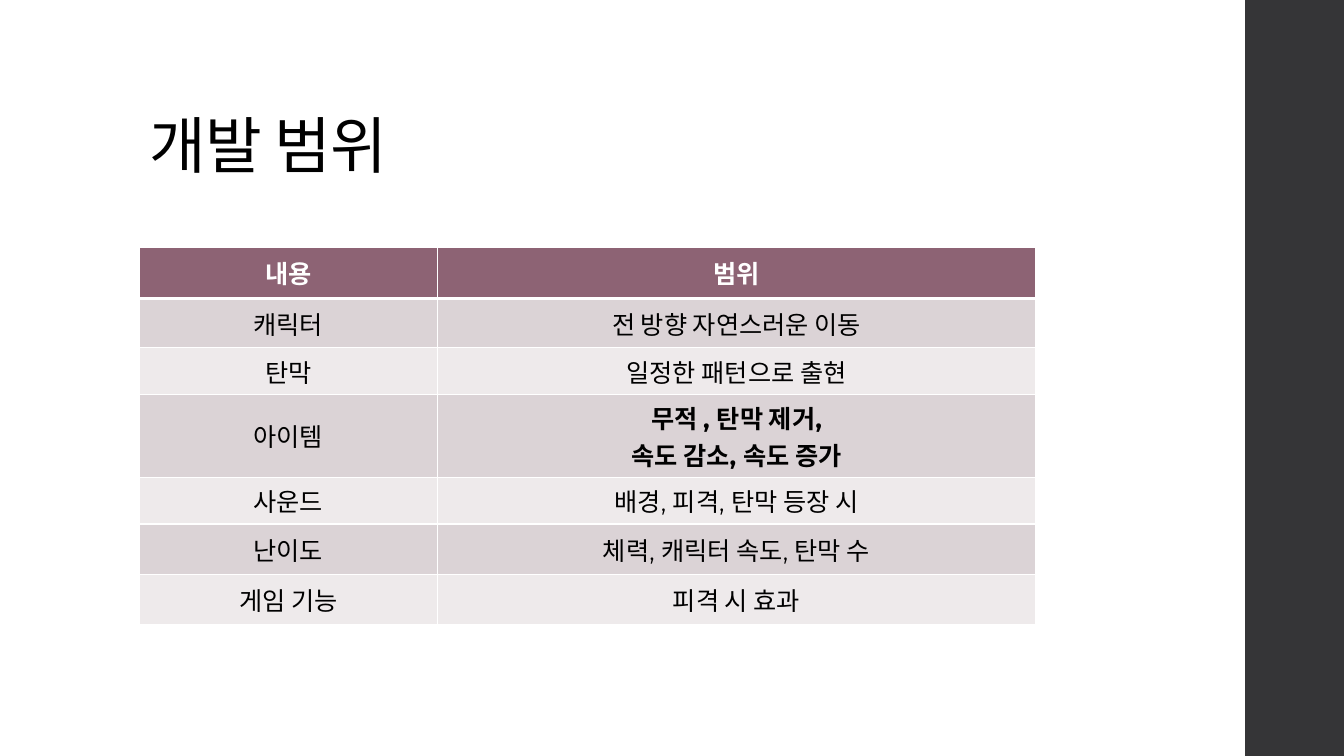
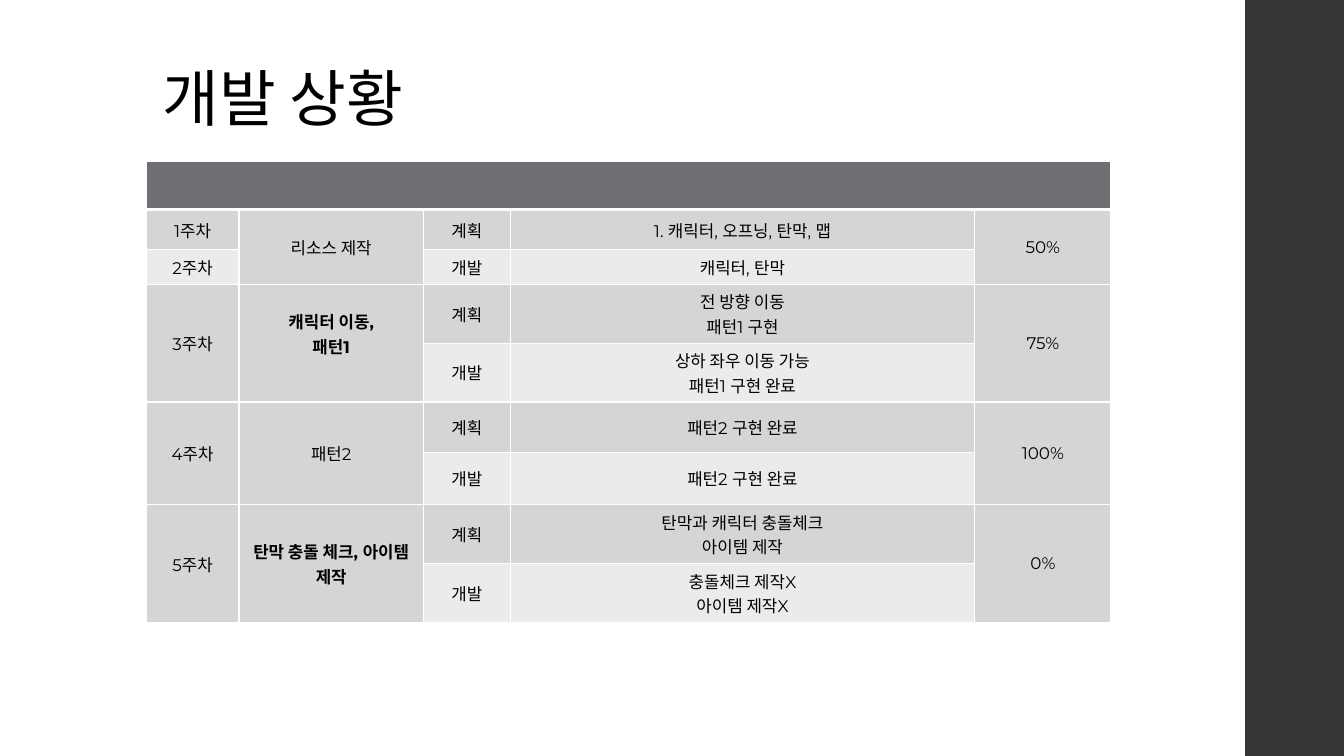
from itertools import takewhile

from lxml.etree import SubElement
from pptx import Presentation
from pptx.dml.color import RGBColor
from pptx.enum.shapes import MSO_SHAPE as Shape
from pptx.enum.text import MSO_ANCHOR as Anchor, MSO_AUTO_SIZE as Fit, PP_ALIGN as Align
from pptx.oxml import parse_xml
from pptx.oxml.ns import nsdecls, qn
from pptx.util import Inches, Pt

WIDE, HIGH = Inches(13.33), Inches(7.5)
TITLE_ONLY = 5
LATIN, HANGUL = "Montserrat", "Noto Sans CJK KR"

WHITE = RGBColor(0xFF, 0xFF, 0xFF)
BLACK = RGBColor(0x00, 0x00, 0x00)
DARK = RGBColor(0x35, 0x35, 0x37)
PLUM = RGBColor(0x8D, 0x63, 0x74)
ROSE = RGBColor(0xDB, 0xD3, 0xD6)
BLUSH = RGBColor(0xEE, 0xEA, 0xEB)
SLATE = RGBColor(0x6F, 0x6F, 0x74)
SILVER = RGBColor(0xD5, 0xD5, 0xD6)
MIST = RGBColor(0xEB, 0xEB, 0xEB)

SCOPE = [
    ["내용", "범위"],
    ["캐릭터", "전 방향 자연스러운 이동"],
    ["탄막", "일정한 패턴으로 출현"],
    ["아이템", "무적 , 탄막 제거,\n속도 감소, 속도 증가"],
    ["사운드", "배경, 피격, 탄막 등장 시"],
    ["난이도", "체력, 캐릭터 속도, 탄막 수"],
    ["게임 기능", "피격 시 효과"],
]
# None belongs to the cell above it, or in the first row to the cell on its left.
STATUS = [
    ["", None, None, None, None],
    ["1주차", "리소스 제작", "계획", "1. 캐릭터, 오프닝, 탄막, 맵", "50%"],
    ["2주차", None, "개발", "캐릭터, 탄막", None],
    ["3주차", "캐릭터 이동,\n패턴1", "계획", "전 방향 이동\n패턴1 구현", "75%"],
    [None, None, "개발", "상하 좌우 이동 가능\n패턴1 구현 완료", None],
    ["4주차", "패턴2", "계획", "패턴2 구현 완료", "100%"],
    [None, None, "개발", "패턴2 구현 완료", None],
    ["5주차", "탄막 충돌 체크, 아이템 제작", "계획",
     "탄막과 캐릭터 충돌체크\n아이템 제작", "0%"],
    [None, None, "개발", "충돌체크 제작X\n아이템 제작X", None],
]


def across(share):
    """Length of a percentage of the slide's width."""
    return round(WIDE * share / 100)


def down(share):
    """Length of a percentage of the slide's height."""
    return round(HIGH * share / 100)


def write(frame, text, size=18, color=BLACK, bold=False, font=LATIN,
          align=Align.CENTER, lead=None):
    frame.text = text
    for para in frame.paragraphs:
        para.alignment = align
        para.line_spacing = lead
        para.font.size = Pt(size)
        for run in para.runs:
            face = run.font
            face.size, face.bold, face.name = Pt(size), bold, font
            face.color.rgb = color


def set_hangul(shape, track=0):
    """Set the East Asian font and the tracking, in hundredths of a point."""
    for props in shape.element.iter(qn("a:rPr")):
        SubElement(props, qn("a:ea")).set("typeface", HANGUL)
        if track:
            props.set("spc", str(track))


def add_band(slide):
    band = slide.shapes.add_shape(
        Shape.RECTANGLE, across(92.65), 0, across(7.5), HIGH)
    band.shadow.inherit = False
    band.fill.solid()
    band.fill.fore_color.rgb = DARK
    band.line.fill.background()


def add_title(slide, text, box, anchor, wrap=True, lead=None, track=0):
    title = slide.shapes.title
    left, top, width, height = box
    title.left, title.top = across(left), down(top)
    title.width, title.height = across(width), down(height)
    frame = title.text_frame
    frame.word_wrap, frame.auto_size = wrap, Fit.NONE
    frame.vertical_anchor = anchor
    write(frame, text, size=44, font=HANGUL, align=Align.LEFT, lead=lead)
    set_hangul(title, track)


def add_slide(deck, text, box, anchor, **style):
    slide = deck.slides.add_slide(deck.slide_layouts[TITLE_ONLY])
    add_band(slide)
    add_title(slide, text, box, anchor, **style)
    return slide


def rule_cell(cell, row):
    """Draw white borders, thick between the first two rows."""
    thick = {(0, "B"), (1, "T")}
    for spot, side in enumerate("LRTB"):
        width = Pt(3 if (row, side) in thick else 1)
        cell.insert(spot, parse_xml(
            f'<a:ln{side} {nsdecls("a")} w="{width}"><a:solidFill>'
            f'<a:srgbClr val="{WHITE}"/></a:solidFill></a:ln{side}>'))


def count_gaps(cells):
    return len(list(takewhile(lambda text: text is None, cells)))


def merge_gaps(table, data):
    for r, row in enumerate(data):
        for c, text in enumerate(row):
            if text is None:
                continue
            right = count_gaps(row[c + 1:]) if r == 0 else 0
            below = count_gaps(line[c] for line in data[r + 1:]) if r else 0
            if right or below:
                table.cell(r, c).merge(table.cell(r + below, c + right))


def add_grid(slide, data, place, cols, rows, fills, size, strong):
    """Add a table; fills are for head, odd and even rows, strong lists bold cells."""
    left, top = place
    frame = slide.shapes.add_table(
        len(rows), len(cols), across(left), down(top),
        across(sum(cols)), down(sum(rows)))
    table = frame.table
    table.horz_banding = False
    for col, share in zip(table.columns, cols):
        col.width = across(share)
    for row, share in zip(table.rows, rows):
        row.height = down(share)

    head, odd, even = fills
    for r, row in enumerate(data):
        for c, text in enumerate(row):
            cell = table.cell(r, c)
            cell.vertical_anchor = Anchor.MIDDLE
            cell.fill.solid()
            cell.fill.fore_color.rgb = head if r == 0 else odd if r % 2 else even
            write(cell.text_frame, text or "", size=size if r else 18,
                  color=BLACK if r else WHITE, bold=r == 0 or (r, c) in strong)
    for r, row in enumerate(frame.element.iter(qn("a:tr"))):
        for cell in row.iter(qn("a:tcPr")):
            rule_cell(cell, r)
    merge_gaps(table, data)
    set_hangul(frame)
    return table


def add_scope(deck):
    slide = add_slide(deck, "개발 범위", (10.35, 5.33, 79.52, 19.33),
                      Anchor.BOTTOM, lead=0.9, track=-50)
    add_grid(slide, SCOPE, (10.35, 32.67), cols=[22.2, 44.5],
             rows=[6.8, 6.53, 5.47, 8, 5.33, 6.67, 6.67],
             fills=(PLUM, ROSE, BLUSH), size=18, strong={(3, 1)})


def add_status(deck):
    slide = add_slide(deck, "개발 상황", (11.33, 7.2, 21.3, 11.2),
                      Anchor.TOP, wrap=False)
    table = add_grid(slide, STATUS, (10.88, 21.33),
                     cols=[6.9, 13.73, 6.45, 34.58, 10.13],
                     rows=[6.4, 5.33, 4.13, 6.93, 6.93, 6.67, 6.93, 6.93, 6.93],
                     fills=(SLATE, SILVER, MIST), size=12, strong={(3, 1), (7, 1)})
    table.cell(3, 1).margin_bottom = down(3.2)


def main():
    deck = Presentation()
    deck.slide_width, deck.slide_height = WIDE, HIGH
    add_scope(deck)
    add_status(deck)
    deck.save("out.pptx")


if __name__ == "__main__":
    main()
